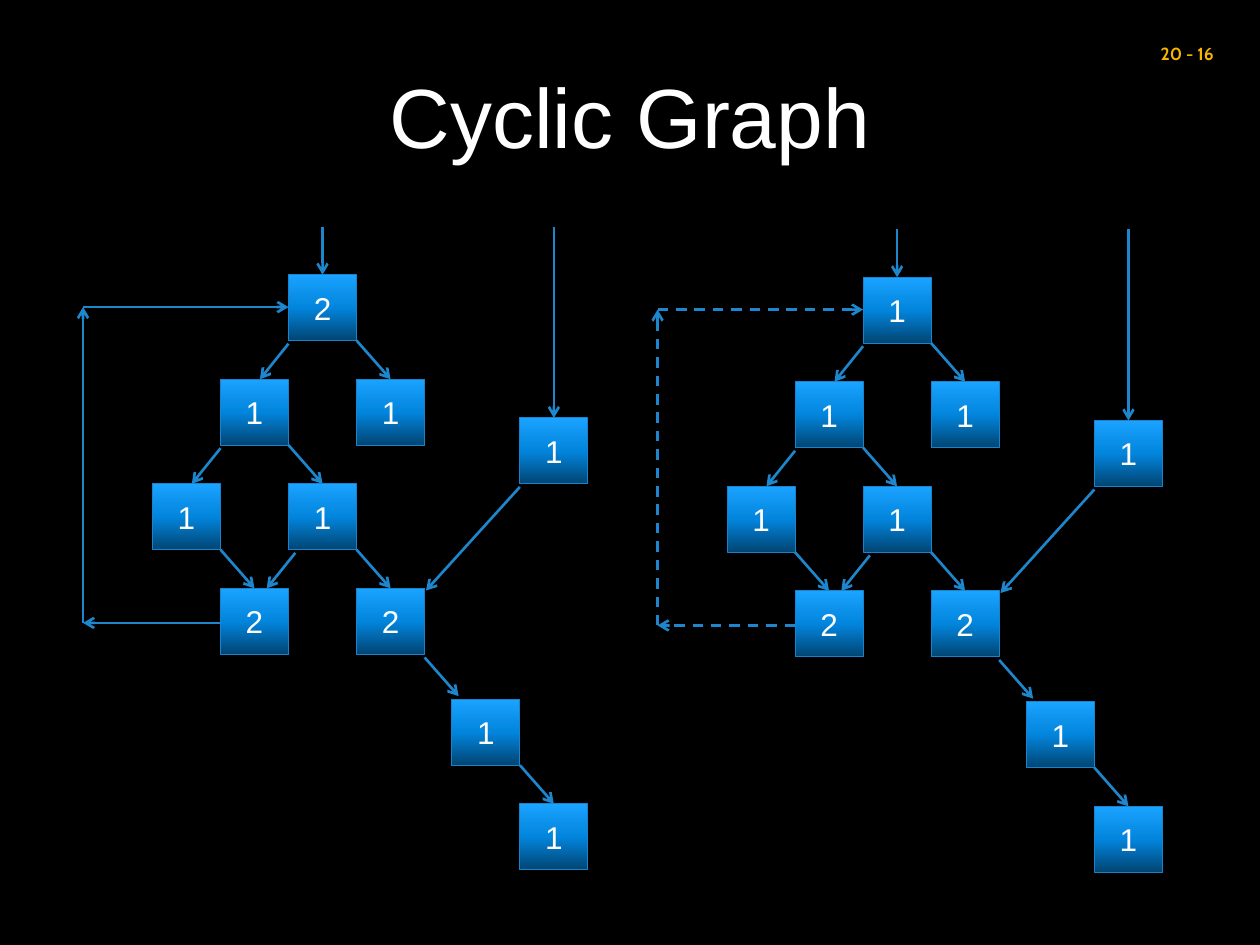
"""Build a slide comparing reference counts in a cyclic graph before and after its cycle is weakened."""
from copy import deepcopy
from dataclasses import dataclass
from typing import NamedTuple

from pptx import Presentation
from pptx.dml.color import RGBColor
from pptx.enum.dml import MSO_LINE
from pptx.enum.shapes import MSO_CONNECTOR, MSO_SHAPE
from pptx.enum.text import MSO_ANCHOR, PP_ALIGN
from pptx.oxml.ns import qn
from pptx.oxml.xmlchemy import OxmlElement
from pptx.shapes.base import BaseShape
from pptx.slide import Slide
from pptx.util import Inches, Pt

CENTER, RIGHT = PP_ALIGN.CENTER, PP_ALIGN.RIGHT
MIDDLE, TOP = MSO_ANCHOR.MIDDLE, MSO_ANCHOR.TOP
RECTANGLE = MSO_SHAPE.RECTANGLE
STRAIGHT = MSO_CONNECTOR.STRAIGHT
DASH = MSO_LINE.DASH
TITLE_ONLY = 5


@dataclass(frozen=True)
class TextStyle:
    font: str
    size: float
    color: str
    bold: bool = False


@dataclass(frozen=True)
class Theme:
    background: str = "000000"
    node_stops: tuple = ((0, "014573"), (0.5, "0285DD"), (1, "1AA3FF"))
    node_outline: str = "1884CD"
    node_outline_width: float = 0.5
    edge: str = "1D86CD"
    edge_width: float = 1.5
    title: TextStyle = TextStyle("Arial", 48, "FFFFFF")
    node: TextStyle = TextStyle("Arial", 18, "FFFFFF")
    number: TextStyle = TextStyle("Cabin", 10, "F7B500", True)


class Point(NamedTuple):
    column: float
    row: float


class Edge(NamedTuple):
    start: Point
    end: Point


@dataclass(frozen=True)
class Grid:
    """Place columns and rows on the slide, in inches."""
    left: float
    top: float
    column: float = 0.54
    row: float = 0.83

    def x(self, point: Point) -> int:
        return Inches(self.left + point.column * self.column)

    def y(self, point: Point) -> int:
        return Inches(self.top + point.row * self.row)


@dataclass(frozen=True)
class Graph:
    grid: Grid
    counts: tuple
    dashed_cycle: bool


THEME = Theme()
NODE_ROWS = 0.63
GRAPHS = (
    Graph(Grid(1.21, 2.18), (2, 1, 1, 1, 1, 2, 2, 1, 1, 1), False),
    Graph(Grid(5.77, 2.2), (1, 1, 1, 1, 1, 2, 2, 1, 1, 1), True),
)

ROOT, LEFT_CHILD, RIGHT_CHILD = Point(2, 0), Point(1, 1), Point(3, 1)
OUTER_LEAF, INNER_NODE = Point(0, 2), Point(2, 2)
CYCLE_NODE, SHARED_NODE = Point(1, 3), Point(3, 3)
SIDE_ROOT, TAIL_NODE, TAIL_END = Point(5.4, 1.37), Point(4.4, 4.06), Point(5.4, 5.06)
NODES = (ROOT, LEFT_CHILD, RIGHT_CHILD, OUTER_LEAF, INNER_NODE,
         CYCLE_NODE, SHARED_NODE, SIDE_ROOT, TAIL_NODE, TAIL_END)


def down_left(node: Point, shift: float = 0) -> Edge:
    column, row = node
    return Edge(Point(column + shift, row + 0.66), Point(column - 0.42 + shift, row + 1))


def down_right(node: Point, drop: float = 0) -> Edge:
    column, row = node
    return Edge(Point(column + 1, row + NODE_ROWS + drop), Point(column + 1.5, row + 1 + drop))


def from_above(node: Point) -> Edge:
    column = node.column + 0.5
    return Edge(Point(column, -0.46), Point(column, node.row))


EDGES = (
    from_above(ROOT), from_above(SIDE_ROOT),
    down_left(ROOT), down_left(LEFT_CHILD), down_left(INNER_NODE, 0.1),
    *map(down_right, (ROOT, LEFT_CHILD, OUTER_LEAF, INNER_NODE, TAIL_NODE)),
    down_right(SHARED_NODE, 0.03),
    Edge(Point(5.4, 2.03), Point(4.02, 3.02)),
)
CYCLE_STOPS = (Point(1, 3.33), Point(-1.02, 3.33), Point(-1.02, 0.31), Point(2, 0.31))
CYCLE = tuple(map(Edge, CYCLE_STOPS, CYCLE_STOPS[1:]))


def write(shape: BaseShape, text: str, style: TextStyle, alignment: int, anchor: int) -> None:
    frame = shape.text_frame
    frame.text = text
    frame.word_wrap = True
    frame.vertical_anchor = anchor
    paragraph = frame.paragraphs[0]
    paragraph.alignment = alignment
    font = paragraph.runs[0].font
    font.name, font.size, font.bold = style.font, Pt(style.size), style.bold
    font.color.rgb = RGBColor.from_string(style.color)


def draw_node(slide: Slide, grid: Grid, node: Point, count: int) -> None:
    shape = slide.shapes.add_shape(RECTANGLE, grid.x(node), grid.y(node),
                                   Inches(grid.column), Inches(grid.row * NODE_ROWS))
    shape.shadow.inherit = False
    shape.fill.gradient()
    shape.fill.gradient_angle = 90
    stop_list = shape.element.spPr.find(".//" + qn("a:gsLst"))
    stop_list.append(deepcopy(stop_list[0]))
    for stop, (position, color) in zip(shape.fill.gradient_stops, THEME.node_stops):
        stop.position = position
        stop.color.rgb = RGBColor.from_string(color)
    shape.line.color.rgb = RGBColor.from_string(THEME.node_outline)
    shape.line.width = Pt(THEME.node_outline_width)
    write(shape, str(count), THEME.node, CENTER, MIDDLE)


def draw_edge(slide: Slide, grid: Grid, edge: Edge, dashed: bool = False) -> None:
    start, end = edge
    connector = slide.shapes.add_connector(STRAIGHT, grid.x(start), grid.y(start),
                                           grid.x(end), grid.y(end))
    line = connector.line
    line.color.rgb = RGBColor.from_string(THEME.edge)
    line.width = Pt(THEME.edge_width)
    if dashed:
        line.dash_style = DASH
    arrowhead = OxmlElement("a:tailEnd")
    arrowhead.set("type", "arrow")
    line._get_or_add_ln().append(arrowhead)
    connector.element.spPr.append(OxmlElement("a:effectLst"))


def draw_graph(slide: Slide, graph: Graph) -> None:
    for node, count in zip(NODES, graph.counts):
        draw_node(slide, graph.grid, node, count)
    for edge in EDGES:
        draw_edge(slide, graph.grid, edge)
    for edge in CYCLE:
        draw_edge(slide, graph.grid, edge, graph.dashed_cycle)


def main() -> None:
    presentation = Presentation()
    presentation.slide_width, presentation.slide_height = Inches(10), Inches(7.5)
    slide = presentation.slides.add_slide(presentation.slide_layouts[TITLE_ONLY])
    slide.background.fill.solid()
    slide.background.fill.fore_color.rgb = RGBColor.from_string(THEME.background)

    title = slide.shapes.title
    title.left, title.top, title.width, title.height = map(Inches, (0.75, 0.13, 8.5, 1.56))
    write(title, "Cyclic Graph", THEME.title, CENTER, MIDDLE)
    for graph in GRAPHS:
        draw_graph(slide, graph)
    number = slide.shapes.add_textbox(*map(Inches, (8.71, 0.29, 1.02, 0.27)))
    write(number, "20 - 16", THEME.number, RIGHT, TOP)
    presentation.save("out.pptx")


if __name__ == "__main__":
    main()
